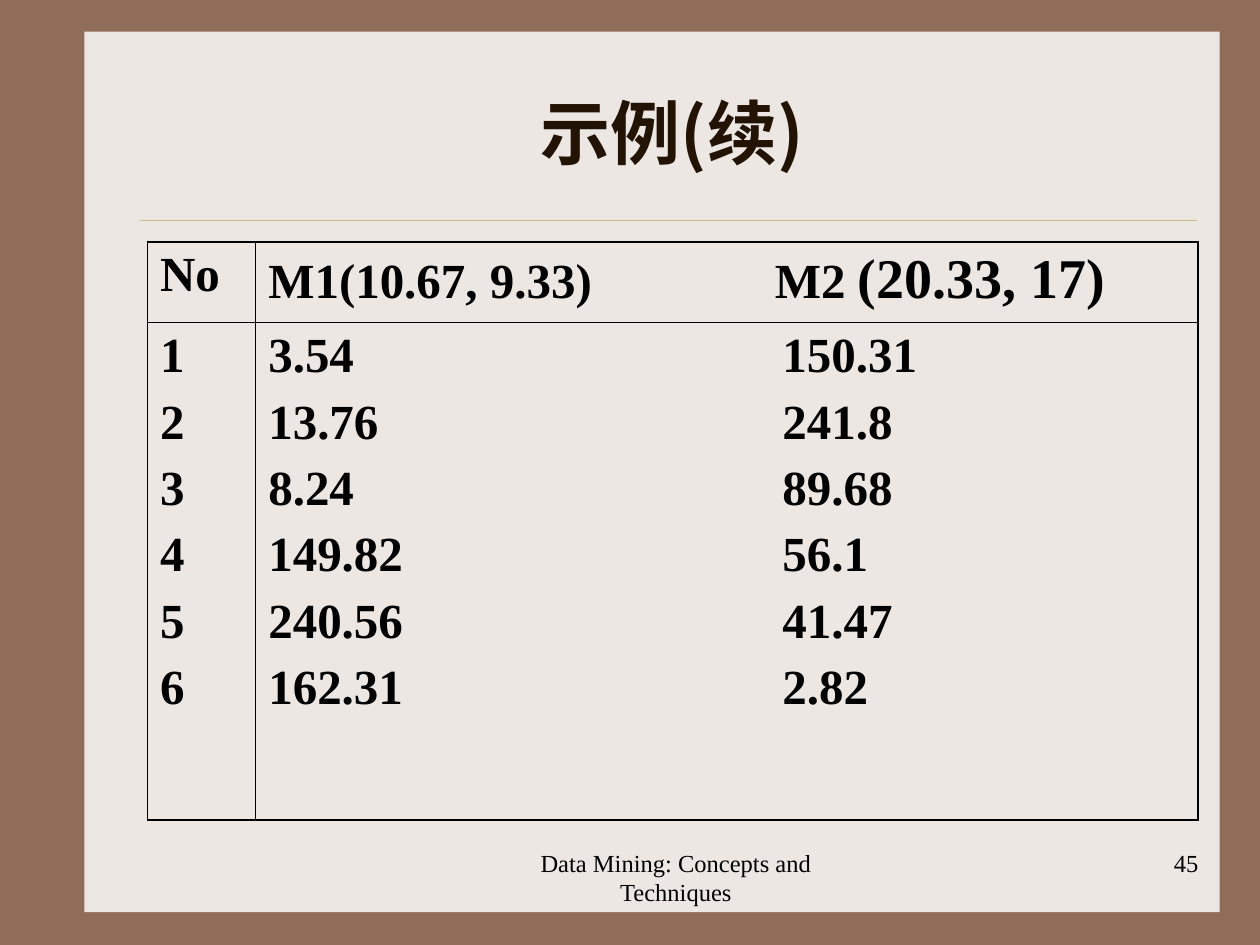
"""Build the slide listing squared distances from six points to two cluster means."""
from lxml.etree import SubElement
from pptx import Presentation
from pptx.dml.color import RGBColor
from pptx.enum.shapes import MSO_CONNECTOR, MSO_SHAPE
from pptx.enum.text import MSO_ANCHOR, PP_ALIGN
from pptx.oxml.ns import qn
from pptx.util import Inches, Pt

TITLE = "示例(续)"
HEADER = [
    [[("No", 28)]],
    [[("M1(10.67, 9.33)\tM2 ", 28), ("(20.33, 17)", 32)]],
]
DISTANCES = [
    ("3.54", "150.31"),
    ("13.76", "241.8"),
    ("8.24", "89.68"),
    ("149.82", "56.1"),
    ("240.56", "41.47"),
    ("162.31", "2.82"),
]
BODY = [
    [[(str(n), 28)] for n in range(1, len(DISTANCES) + 1)],
    [[("\t".join(pair), 28)] for pair in DISTANCES],
]
FOOTERS = [
    ("Data Mining: Concepts and Techniques", 3.78, 3.17, PP_ALIGN.CENTER),
    ("45", 7.53, 2.08, PP_ALIGN.RIGHT),
]
COLS, ROWS = (0.86, 7.48), (0.64, 3.95)
TAB_STOPS = (4.02, 4.08)
LEFT, TABLE_TOP, FOOTER_TOP = 1.17, 1.92, 6.68
THICK, THIN = 1.08, 0.45
SERIF, SANS = "Times New Roman", "Noto Sans CJK SC"

BROWN = RGBColor(0x90, 0x6D, 0x58)
PAPER = RGBColor(0xED, 0xE7, 0xE3)
GOLD = RGBColor(0xCB, 0xBD, 0x83)
DARK = RGBColor(0x22, 0x13, 0x04)
BLACK = RGBColor(0, 0, 0)


def add_run(p, text, size, font=SERIF, color=BLACK, bold=False):
    r = p.add_run()
    r.text = text
    r.font.size, r.font.name, r.font.bold = Pt(size), font, bold
    r.font.color.rgb = color
    SubElement(r.font._element, qn("a:ea"), typeface=font)


def add_text(slide, box, text, size, align, anchor=MSO_ANCHOR.TOP, **style):
    tf = slide.shapes.add_textbox(*map(Inches, box)).text_frame
    tf.word_wrap, tf.vertical_anchor = True, anchor
    p = tf.paragraphs[0]
    p.alignment = align
    add_run(p, text, size, **style)


def set_borders(cell, row, col):
    edges = {"L": col == 0, "R": col == len(COLS) - 1,
             "T": row == 0, "B": row == len(ROWS) - 1}
    tcPr = cell._tc.get_or_add_tcPr()
    for side, outer in edges.items():
        ln = SubElement(tcPr, qn(f"a:ln{side}"), w=str(Pt(THICK if outer else THIN)))
        SubElement(SubElement(ln, qn("a:solidFill")), qn("a:srgbClr"), val=str(BLACK))


def fill_cell(cell, paragraphs, tab):
    tf = cell.text_frame
    for i, runs in enumerate(paragraphs):
        p = tf.add_paragraph() if i else tf.paragraphs[0]
        if i:
            p.space_before = Pt(7)
        tabs = SubElement(p._p.get_or_add_pPr(), qn("a:tabLst"))
        SubElement(tabs, qn("a:tab"), pos=str(Inches(tab)), algn="l")
        for text, size in runs:
            add_run(p, text, size, bold=True)


def add_distances(slide):
    frame = slide.shapes.add_table(len(ROWS), len(COLS), Inches(LEFT), Inches(TABLE_TOP),
                                   Inches(sum(COLS)), Inches(sum(ROWS)))
    table = frame.table
    table.first_row = table.horz_banding = False
    for column, width in zip(table.columns, COLS):
        column.width = Inches(width)
    for r, (height, contents) in enumerate(zip(ROWS, (HEADER, BODY))):
        table.rows[r].height = Inches(height)
        for c, paragraphs in enumerate(contents):
            cell = table.cell(r, c)
            set_borders(cell, r, c)
            cell.fill.background()
            fill_cell(cell, paragraphs, TAB_STOPS[r])


def main():
    prs = Presentation()
    prs.slide_width, prs.slide_height = Inches(10), Inches(7.5)
    s = prs.slides.add_slide(prs.slide_layouts[6])
    s.background.fill.solid()
    s.background.fill.fore_color.rgb = BROWN

    panel = s.shapes.add_shape(MSO_SHAPE.RECTANGLE, *map(Inches, (0.67, 0.25, 9.01, 6.99)))
    panel.shadow.inherit = False
    panel.fill.solid()
    panel.fill.fore_color.rgb = PAPER
    panel.line.fill.background()

    rule = s.shapes.add_connector(MSO_CONNECTOR.STRAIGHT, *map(Inches, (1.11, 1.75, 9.5, 1.75)))
    rule.line.color.rgb = GOLD
    rule.line.width = Pt(0.25)
    SubElement(rule._element.spPr, qn("a:effectLst"))

    for text, left, width, align in FOOTERS:
        add_text(s, (left, FOOTER_TOP, width, 0.5), text, 14, align)
    add_text(s, (LEFT, 0.42, 8.33, 1.25), TITLE, 40, PP_ALIGN.CENTER,
             MSO_ANCHOR.MIDDLE, font=SANS, color=DARK, bold=True)
    add_distances(s)
    prs.save("out.pptx")


if __name__ == "__main__":
    main()
